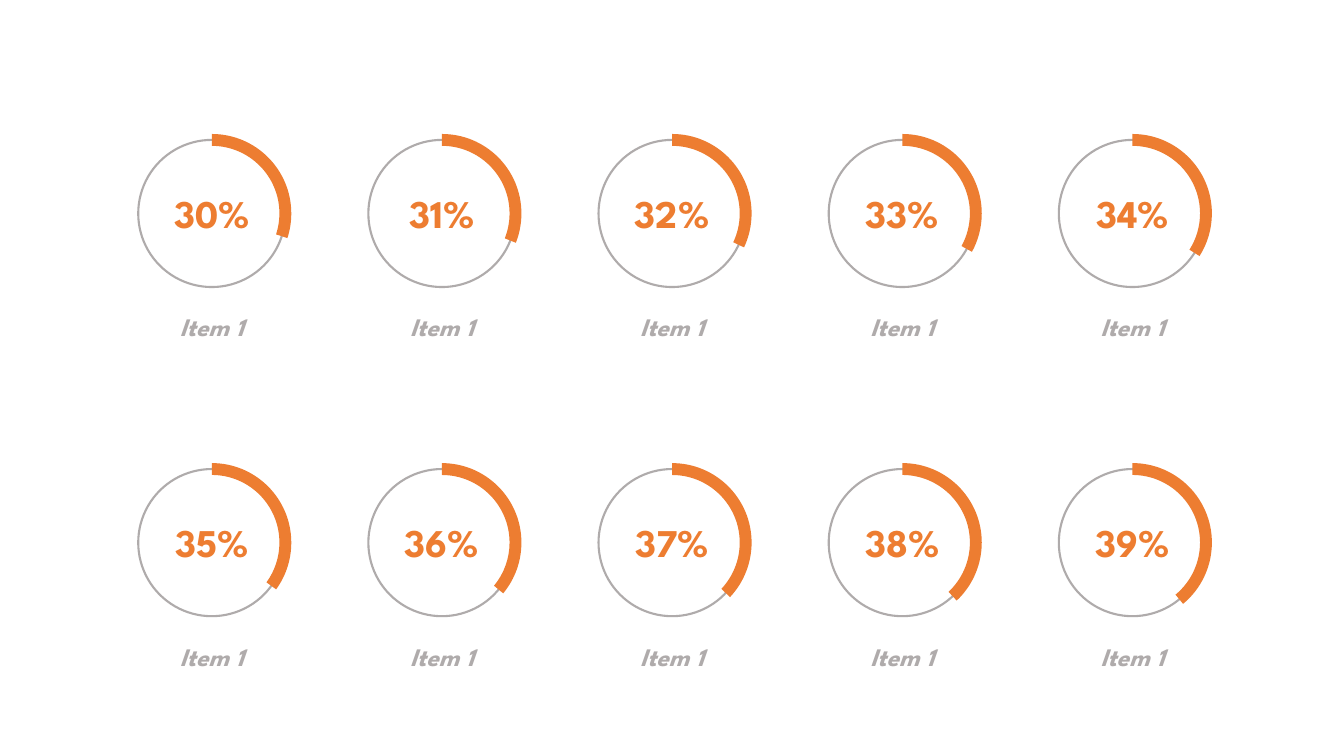
"""Build a slide with two rows of five percentage rings."""
import math
import lxml.etree
import pptx
import pptx.util
import pptx.dml.color
import pptx.enum.shapes
import pptx.enum.text
import pptx.oxml.ns

Pt = pptx.util.Pt
RGB = pptx.dml.color.RGBColor
qn = pptx.oxml.ns.qn
theme = {
    "font": "League Spartan",
    "accent": RGB(0xED, 0x7D, 0x31),
    "muted": RGB(0xAF, 0xAB, 0xAB),
    "value": Pt(28),
    "label": Pt(18),
}


def add_text(group, text, box, size, color, slant):
    frame = group.shapes.add_textbox(*map(Pt, box)).text_frame
    frame.word_wrap = True
    frame.auto_size = pptx.enum.text.MSO_AUTO_SIZE.SHAPE_TO_FIT_TEXT
    para = frame.paragraphs[0]
    para.alignment = pptx.enum.text.PP_ALIGN.CENTER
    run = para.add_run()
    run.text = text
    font = run.font
    font.name, font.size, font.bold = theme["font"], size, True
    font.color.rgb = color
    if slant:
        font.italic = True


def trace(mid, top, radius, turns):
    spots = [(radius, turns[0])]
    for start, end in zip(turns, turns[1:]):
        pull = 4 / 3 * math.tan((end - start) / 4)
        reach, lean = radius * math.hypot(1, pull), math.atan(pull)
        spots += [(reach, start + lean), (reach, end - lean), (radius, end)]
    return [(Pt(mid + size * math.sin(turn)), Pt(top - size * math.cos(turn)))
            for size, turn in spots]


deck = pptx.Presentation()
deck.slide_width, deck.slide_height = Pt(960), Pt(540)
slide = deck.slides.add_slide(deck.slide_layouts[6])

cols = 5
radius, outer, inner = 52.55, 56.8, 48.3

for item in range(10):
    share = 30 + item
    row, col = divmod(item, cols)
    mid_x = 151.3 + 164.4 * col
    mid_y = 152.5 + 235.1 * row
    group = slide.shapes.add_group_shape()

    ring = group.shapes.add_shape(
        pptx.enum.shapes.MSO_SHAPE.OVAL, Pt(mid_x - radius),
        Pt(mid_y - radius), Pt(2 * radius), Pt(2 * radius))
    ring.shadow.inherit = False
    ring.fill.background()
    ring.line.color.rgb = theme["muted"]
    ring.line.width = Pt(1.5)

    add_text(group, f"{share}%", (mid_x - 54, mid_y - 20.7, 108, 41.2),
             theme["value"], theme["accent"], False)
    add_text(group, "Item 1", (mid_x - 80.6, mid_y + 66.6, 161.2, 29),
             theme["label"], theme["muted"], True)

    turns = [0, math.pi / 2, math.tau * share / 100]
    edge = trace(mid_x, mid_y, outer, turns)
    edge += trace(mid_x, mid_y, inner, turns[::-1])
    pen = group.shapes.build_freeform(*edge[0])
    pen.add_line_segments(edge[1:], close=True)
    arc = pen.convert_to_shape()
    arc.shadow.inherit = False
    arc.fill.solid()
    arc.fill.fore_color.rgb = theme["accent"]
    arc.line.fill.background()

    lines = list(arc.element.iter(qn("a:lnTo")))
    for first in (0, 3, 7, 10):
        curve = lxml.etree.Element(qn("a:cubicBezTo"))
        lines[first].addprevious(curve)
        for line in lines[first:first + 3]:
            curve.append(line[0])
            line.getparent().remove(line)

deck.save("out.pptx")
